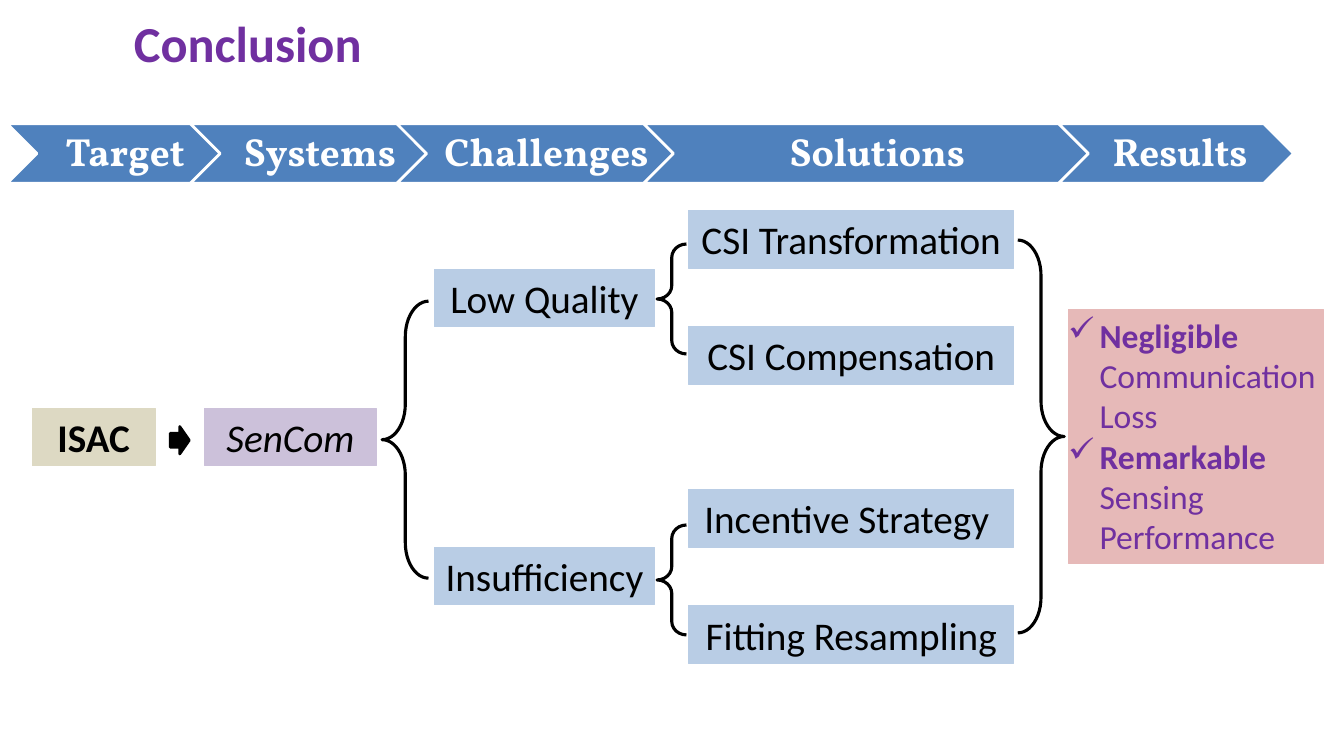
import pptx
import pptx.util
import pptx.dml.color
import pptx.enum.shapes
import pptx.enum.text
import pptx.oxml.ns
import lxml.etree

Cm, Pt = pptx.util.Cm, pptx.util.Pt
SHAPE = pptx.enum.shapes.MSO_SHAPE
ALIGN = pptx.enum.text.PP_ALIGN
ANCHOR = pptx.enum.text.MSO_ANCHOR

COLORS = {
    "purple": "7030A0", "black": "000000", "white": "FFFFFF", "stage": "4F81BD",
    "target": "DDD9C3", "system": "CCC1DA", "item": "B9CDE5", "result": "E6B9B8",
}
TITLE = "Conclusion"
STAGES = [("Target", 5.74), ("Systems", 6.32), ("Challenges", 7.34),
          ("Solutions", 11.58), ("Results", 5.92)]
STAGE_LEFT, STAGE_TOP, STAGE_HEIGHT, STAGE_OVERLAP = 0.18, 3.12, 1.5, 1.12

BOX_HEIGHT = 1.45
COLUMNS = [
    (0.81, 3.1, "target", {"bold": True}, [("ISAC", 10.29)]),
    (5.16, 4.32, "system", {"italic": True}, [("SenCom", 10.29)]),
    (10.95, 5.54, "item", {}, [("Low Quality", 6.78), ("Insufficiency", 13.79)]),
    (17.35, 8.2, "item", {}, [("CSI Transformation", 5.31), ("CSI Compensation", 8.23),
                              ("Incentive Strategy ", 12.34), ("Fitting Resampling", 15.27)]),
]
RESULTS_BOX = (26.92, 7.8, 6.43, 6.4)
RESULTS = [("Negligible", " Communication Loss"), ("Remarkable", " Sensing Performance")]
RESULT_INDENT = 0.79
ARROW = (4.29, 10.75, 0.48, 0.69)
BRACES = [
    (SHAPE.LEFT_BRACE, (9.63, 7.59, 1.17, 6.98), 0.766),
    (SHAPE.LEFT_BRACE, (16.56, 6.15, 0.74, 2.77), 0.457),
    (SHAPE.LEFT_BRACE, (16.56, 13.23, 0.74, 2.77), 0.457),
    (SHAPE.RIGHT_BRACE, (25.65, 6.05, 1.17, 9.9), 0.766),
]


def rgb(name):
    return pptx.dml.color.RGBColor.from_string(COLORS[name])


def add_shape(s, kind, box, fill, line, width):
    sp = s.shapes.add_shape(kind, *(Cm(v) for v in box))
    sp.shadow.inherit = False
    if fill:
        sp.fill.solid()
        sp.fill.fore_color.rgb = rgb(fill)
    else:
        sp.fill.background()
    sp.line.color.rgb = rgb(line)
    sp.line.width = Pt(width)
    return sp


def add_run(p, text, size, color, font="Calibri", bold=False, italic=False):
    r = p.add_run()
    r.text = text
    r.font.name = font
    r.font.size = Pt(size)
    r.font.bold = bold
    r.font.italic = italic
    r.font.color.rgb = rgb(color)


def set_margins(tf, left, top, right, bottom):
    tf.margin_left, tf.margin_top = Cm(left), Cm(top)
    tf.margin_right, tf.margin_bottom = Cm(right), Cm(bottom)


def add_check(p):
    pPr = p._p.get_or_add_pPr()
    pPr.set("marL", str(Cm(RESULT_INDENT)))
    pPr.set("indent", str(-Cm(RESULT_INDENT)))
    bullet = lxml.etree.SubElement(pPr, pptx.oxml.ns.qn("a:buChar"))
    bullet.set("char", "✓")


def add_title(s):
    sp = s.shapes.title
    sp.left, sp.top, sp.width, sp.height = Cm(3.12), Cm(0.08), Cm(21.03), Cm(1.96)
    tf = sp.text_frame
    tf.auto_size = pptx.enum.text.MSO_AUTO_SIZE.NONE
    tf.vertical_anchor = ANCHOR.MIDDLE
    p = tf.paragraphs[0]
    p.alignment = ALIGN.LEFT
    add_run(p, TITLE, 36, "purple", bold=True)


def add_stages(s):
    left = STAGE_LEFT
    for name, width in STAGES:
        sp = add_shape(s, SHAPE.CHEVRON, (left, STAGE_TOP, width, STAGE_HEIGHT),
                       "stage", "white", 2)
        set_margins(sp.text_frame, 0.3, 0.1, 0.1, 0.1)
        p = sp.text_frame.paragraphs[0]
        p.alignment = ALIGN.CENTER
        p.line_spacing = 0.9
        add_run(p, name, 28, "white", font="Vollkorn", bold=True)
        left += width - STAGE_OVERLAP


def add_columns(s):
    for left, width, color, style, items in COLUMNS:
        for text, top in items:
            sp = add_shape(s, SHAPE.RECTANGLE, (left, top, width, BOX_HEIGHT),
                           color, color, 0.75)
            sp.text_frame.vertical_anchor = ANCHOR.TOP
            p = sp.text_frame.paragraphs[0]
            p.alignment = ALIGN.CENTER
            add_run(p, text, 28, "black", **style)


def add_results(s):
    sp = add_shape(s, SHAPE.RECTANGLE, RESULTS_BOX, "result", "result", 0.75)
    tf = sp.text_frame
    tf.vertical_anchor = ANCHOR.TOP
    set_margins(tf, 0, 0.13, 0, 0.13)
    for i, (lead, rest) in enumerate(RESULTS):
        p = tf.add_paragraph() if i else tf.paragraphs[0]
        p.alignment = ALIGN.LEFT
        add_check(p)
        add_run(p, lead, 24, "purple", bold=True)
        add_run(p, rest, 24, "purple")


def add_links(s):
    add_shape(s, SHAPE.RIGHT_ARROW, ARROW, "black", "black", 2)
    for kind, box, curve in BRACES:
        sp = add_shape(s, kind, box, None, "black", 2.25)
        sp.adjustments[0] = curve
        sp.adjustments[1] = 0.5


def main():
    prs = pptx.Presentation()
    prs.slide_width, prs.slide_height = Cm(33.87), Cm(19.05)
    s = prs.slides.add_slide(prs.slide_layouts[5])
    add_title(s)
    add_stages(s)
    add_columns(s)
    add_results(s)
    add_links(s)
    prs.save("out.pptx")


if __name__ == "__main__":
    main()
